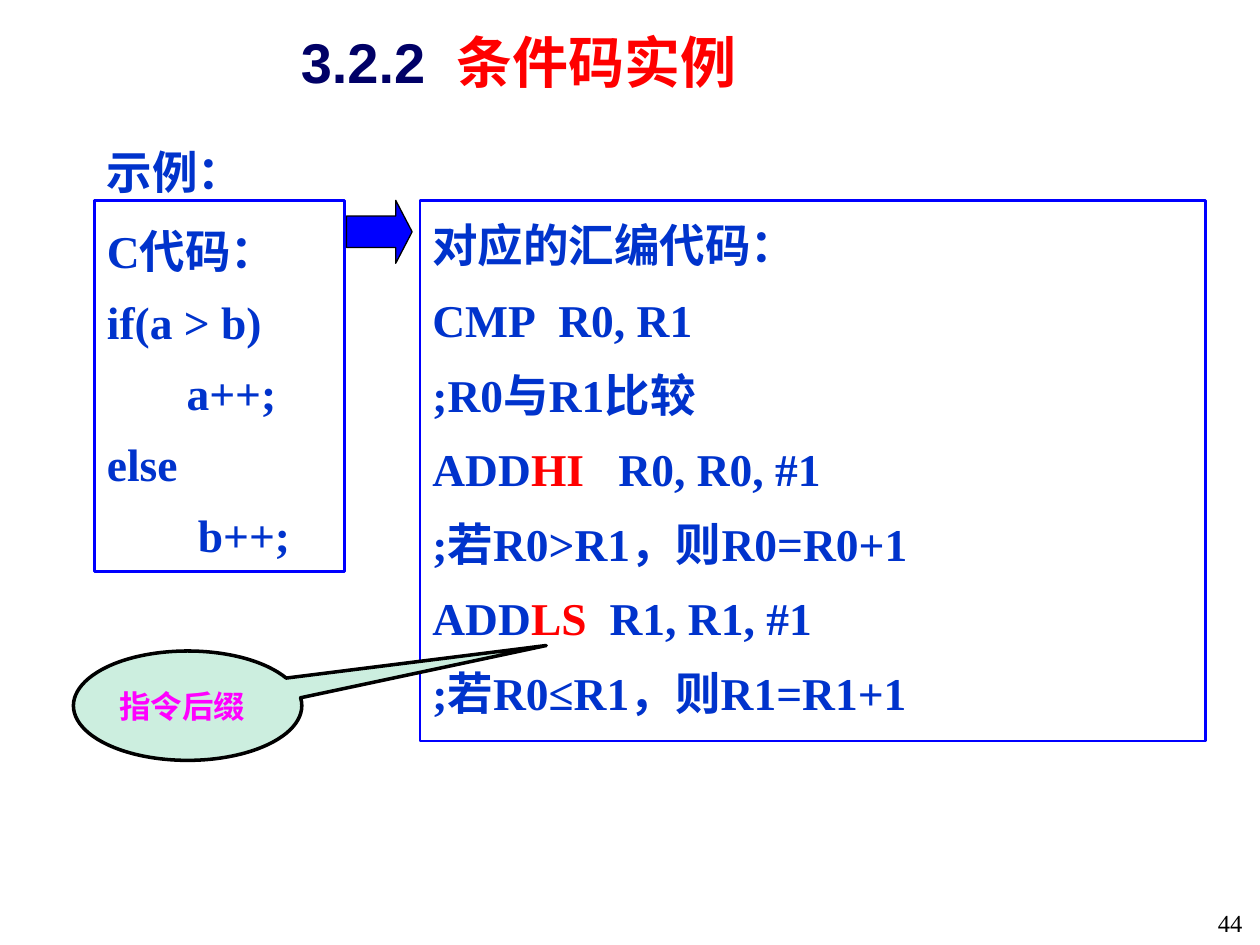
from pptx import Presentation
from pptx.dml.color import RGBColor
from pptx.enum.shapes import MSO_SHAPE as SHAPE
from pptx.enum.text import MSO_ANCHOR as ANCHOR, MSO_AUTO_SIZE as AUTO, PP_ALIGN as ALIGN
from pptx.util import Pt

BLUE = RGBColor(0x00, 0x33, 0xCC)
PURE_BLUE = RGBColor(0x00, 0x00, 0xFF)
NAVY = RGBColor(0x00, 0x00, 0x66)
RED = RGBColor(0xFF, 0x00, 0x00)
MAGENTA = RGBColor(0xFF, 0x00, 0xFF)
MINT = RGBColor(0xCC, 0xEE, 0xDF)
BLACK = RGBColor(0x00, 0x00, 0x00)

SERIF = "Times New Roman"
BOX_TOP = 114.5

C_CODE = ["C代码：", "if(a > b)", "       a++;", "else", "        b++;"]
ASSEMBLY = [
    "对应的汇编代码：",
    "CMP\tR0, R1",
    ";R0与R1比较",
    [("ADD", BLUE), ("HI   ", RED), ("R0, R0, #1", BLUE)],
    ";若R0>R1，则R0=R0+1",
    [("ADD", BLUE), ("LS  ", RED), ("R1, R1, #1", BLUE)],
    ";若R0≤R1，则R1=R1+1",
]


def write(tf, lines, size=26, color=BLUE, font=SERIF, bold=True,
          align=ALIGN.LEFT, spacing=1.0, before=0, anchor=ANCHOR.TOP):
    """Fill a text frame; a line is a string or a list of (text, colour)."""
    tf.word_wrap = True
    tf.auto_size = AUTO.NONE
    tf.vertical_anchor = anchor
    for i, line in enumerate(lines):
        p = tf.paragraphs[0] if i == 0 else tf.add_paragraph()
        p.alignment = align
        p.line_spacing = spacing
        p.space_before = Pt(before if i else 0)
        for text, run_color in [(line, color)] if isinstance(line, str) else line:
            r = p.add_run()
            r.text = text
            r.font.name, r.font.size, r.font.bold = font, Pt(size), bold
            r.font.color.rgb = run_color


def add_title(slide, parts):
    sp = slide.shapes.title
    sp.left, sp.top, sp.width, sp.height = Pt(14.5), Pt(16.5), Pt(564), Pt(66)
    write(sp.text_frame, [parts], size=32, font="Arial", align=ALIGN.CENTER, spacing=0.9)


def add_text(slide, x, y, w, h, text, **style):
    sp = slide.shapes.add_textbox(Pt(x), Pt(y), Pt(w), Pt(h))
    write(sp.text_frame, [text], **style)


def add_shape(slide, kind, x, y, w, h, line, line_width, fill=None, adjust=()):
    sp = slide.shapes.add_shape(kind, Pt(x), Pt(y), Pt(w), Pt(h))
    sp.shadow.inherit = False
    for i, value in enumerate(adjust):
        sp.adjustments[i] = value
    if fill is None:
        sp.fill.background()
    else:
        sp.fill.solid()
        sp.fill.fore_color.rgb = fill
    sp.line.color.rgb = line
    sp.line.width = Pt(line_width)
    return sp


def add_code_box(slide, x, w, h, lines, **style):
    sp = add_shape(slide, SHAPE.RECTANGLE, x, BOX_TOP, w, h, PURE_BLUE, 1.5)
    write(sp.text_frame, lines, align=ALIGN.JUSTIFY, **style)


def main():
    prs = Presentation()
    prs.slide_width, prs.slide_height = Pt(720), Pt(540)
    s = prs.slides.add_slide(prs.slide_layouts[5])

    # Title and slide number
    add_title(s, [("3.2.2  ", NAVY), ("条件码实例", RED)])
    add_text(s, 662.5, 515.5, 54.5, 24.5, "44", size=14, color=BLACK,
             bold=False, align=ALIGN.RIGHT)

    # C code, arrow and matching assembly
    add_code_box(s, 54, 143, 212, C_CODE, spacing=1.3)
    add_code_box(s, 240, 449, 309, ASSEMBLY, spacing=1.2, before=5.2)
    add_shape(s, SHAPE.RIGHT_ARROW, 198, BOX_TOP, 37.5, 36, BLACK, 0.75,
              PURE_BLUE, (0.5, 0.26))
    add_text(s, 54, 78.5, 187, 38, "示例：")

    # Callout pointing at the instruction suffix
    sp = add_shape(s, SHAPE.OVAL_CALLOUT, 42, 372, 130.5, 62.5, BLACK, 2,
                   MINT, (1.57, -0.55))
    write(sp.text_frame, ["指令后缀"], size=18, color=MAGENTA, anchor=ANCHOR.MIDDLE)

    prs.save("out.pptx")


if __name__ == "__main__":
    main()
